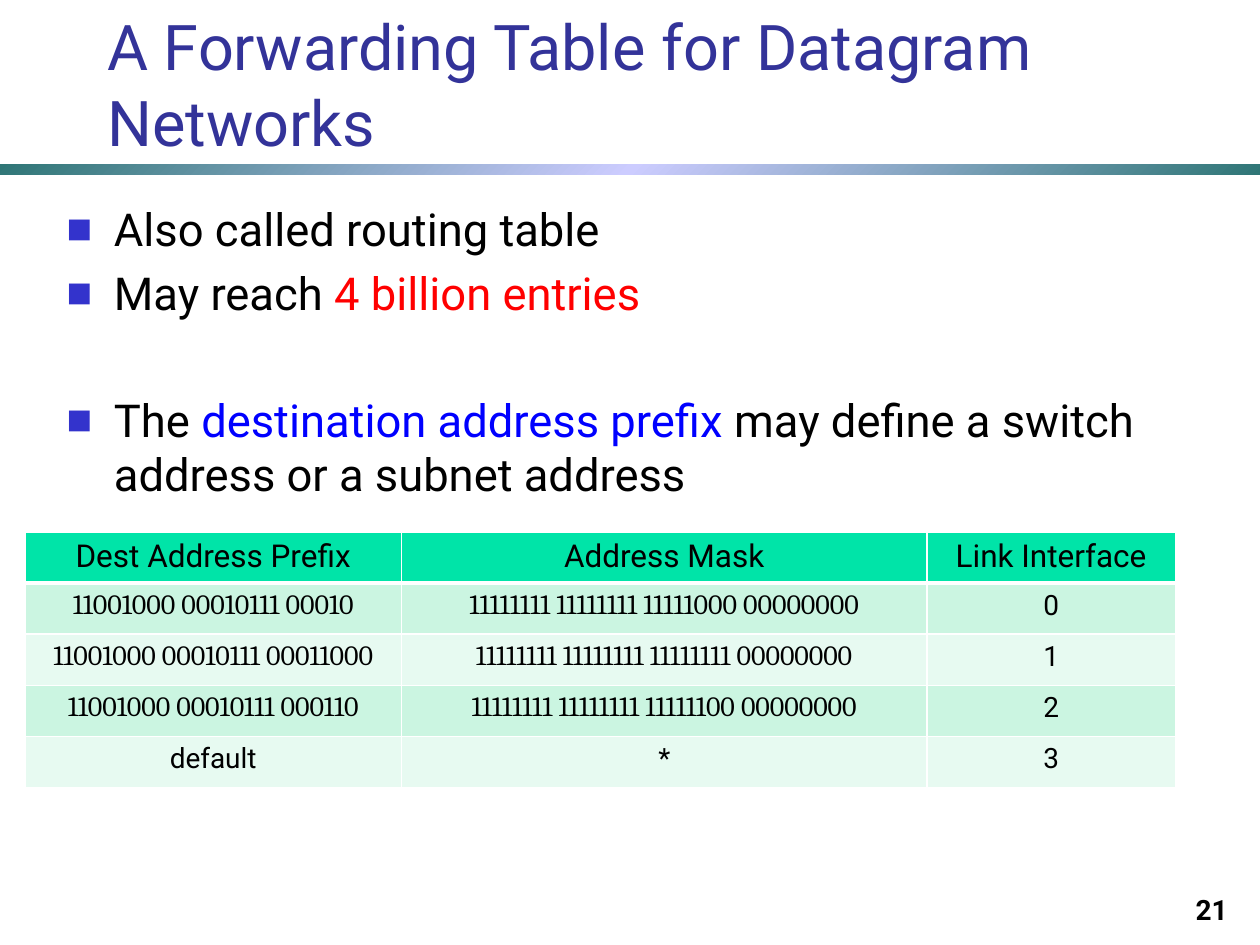
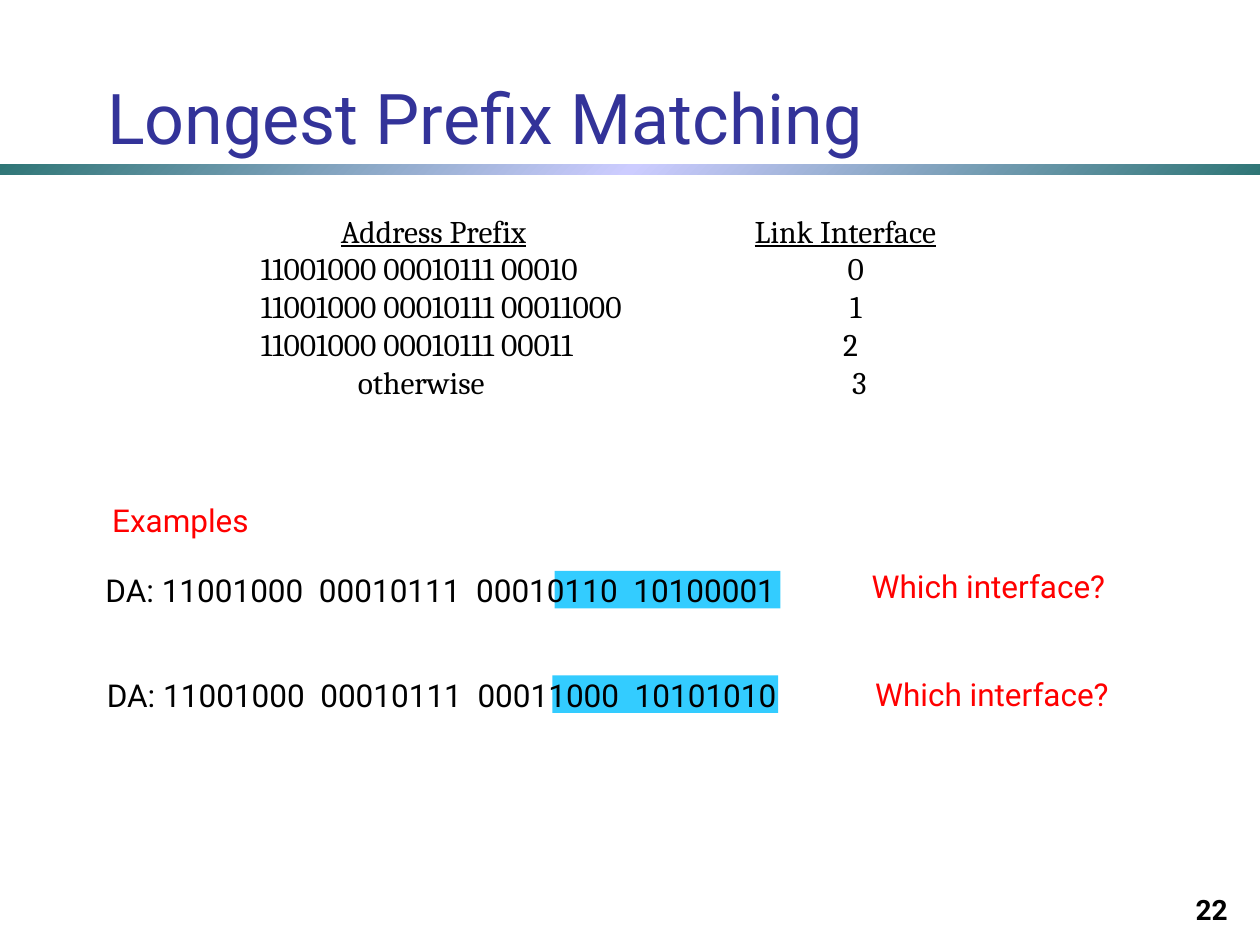
import copy
import lxml.etree
import pptx
import pptx.dml.color
import pptx.enum.shapes
import pptx.enum.text
import pptx.oxml
import pptx.oxml.ns
import pptx.util

Pt = pptx.util.Pt
RGB = pptx.dml.color.RGBColor
Align = pptx.enum.text.PP_ALIGN
Anchor = pptx.enum.text.MSO_ANCHOR
Rect = pptx.enum.shapes.MSO_SHAPE.RECTANGLE
qn = pptx.oxml.ns.qn

BLACK = RGB(0, 0, 0)
RED = RGB(255, 0, 0)
BLUE = RGB(0, 0, 255)
NAVY = RGB(0x33, 0x33, 0x99)
TEAL = RGB(0x2F, 0x76, 0x76)
LILAC = RGB(0xCC, 0xCC, 0xFF)
CYAN = RGB(0x33, 0xCC, 0xFF)
GREEN = RGB(0x00, 0xE4, 0xA8)
MINT = RGB(0xCB, 0xF5, 0xE1)
PALE = RGB(0xE7, 0xFA, 0xF1)
SANS, SERIF = "Roboto", "Cambria"


def write(para, text, size=18, color=BLACK, face=SANS):
    run = para.add_run()
    run.text = text
    run.font.size = Pt(size)
    run.font.name = face
    run.font.color.rgb = color
    return run


def box(slide, left, top, width, height, anchor=Anchor.TOP, wrap=True):
    frame = slide.shapes.add_textbox(Pt(left), Pt(top), Pt(width), Pt(height)).text_frame
    frame.word_wrap = wrap
    frame.vertical_anchor = anchor
    return frame


deck = pptx.Presentation()
deck.slide_width, deck.slide_height = Pt(720), Pt(540)

slides = []
heads = [("A Forwarding Table for Datagram Networks", 36, 21),
         ("Longest Prefix Matching", 40, 22)]
for head, size, num in heads:
    slide = deck.slides.add_slide(deck.slide_layouts[5])
    slides.append(slide)

    band = slide.shapes.add_shape(Rect, 0, Pt(94), Pt(720), Pt(6))
    band.shadow.inherit = False
    band.line.fill.background()
    band.fill.gradient()
    band.fill.gradient_angle = 315
    stops = band.element.xpath(".//a:gsLst")[0]
    stops.append(copy.deepcopy(stops[0]))
    for stop, place, color in zip(band.fill.gradient_stops, (0, 0.5, 1), (TEAL, LILAC, TEAL)):
        stop.position = place
        stop.color.rgb = color

    title = slide.shapes.title
    title.left, title.top, title.width, title.height = Pt(54), Pt(26), Pt(666), Pt(68.4)
    frame = title.text_frame
    frame.auto_size = pptx.enum.text.MSO_AUTO_SIZE.NONE
    frame.vertical_anchor = Anchor.BOTTOM
    frame.paragraphs[0].alignment = Align.LEFT
    write(frame.paragraphs[0], head, size, NAVY)

    para = box(slide, 558.7, 496.8, 149.8, 36, Anchor.BOTTOM).paragraphs[0]
    para.alignment = Align.RIGHT
    write(para, str(num), 16).font.bold = True

table_slide, match_slide = slides

points = [
    (0, [("Also called routing table", BLACK)]),
    (5.2, [("May reach ", BLACK), ("4 billion entries", RED)]),
    (41.5, [("The ", BLACK), ("destination address prefix ", BLUE),
            ("may define a switch address or a subnet address", BLACK)]),
]
frame = box(table_slide, 31, 111.6, 674.6, 153.4)
for i, (gap, parts) in enumerate(points):
    para = frame.add_paragraph() if i else frame.paragraphs[0]
    props = para._p.get_or_add_pPr()
    props.set("marL", str(Pt(27)))
    props.set("indent", str(Pt(-27)))
    color = lxml.etree.SubElement(props, qn("a:buClr"))
    lxml.etree.SubElement(color, qn("a:srgbClr"), val="3333CC")
    lxml.etree.SubElement(props, qn("a:buSzPct"), val="60000")
    lxml.etree.SubElement(props, qn("a:buFont"), typeface=SANS)
    lxml.etree.SubElement(props, qn("a:buChar"), char="■")
    para.space_before = Pt(gap)
    for text, color in parts:
        write(para, text, 25.9, color)

rows = [
    ("Dest Address Prefix", "Address Mask", "Link Interface"),
    ("11001000 00010111 00010", "11111111 11111111 11111000 00000000", "0"),
    ("11001000 00010111 00011000", "11111111 11111111 11111111 00000000", "1"),
    ("11001000 00010111 000110", "11111111 11111111 11111100 00000000", "2"),
    ("default", "*", "3"),
]
widths = (215.3, 300.2, 142)
table = table_slide.shapes.add_table(
    len(rows), len(widths), Pt(14.2), Pt(304), Pt(sum(widths)), Pt(146)).table
for col, width in zip(table.columns, widths):
    col.width = Pt(width)
for i, row in enumerate(rows):
    table.rows[i].height = Pt(29.2)
    for j, text in enumerate(row):
        cell = table.cell(i, j)
        cell.fill.solid()
        cell.fill.fore_color.rgb = GREEN if i == 0 else MINT if i % 2 else PALE
        para = cell.text_frame.paragraphs[0]
        para.alignment = Align.CENTER
        face = SERIF if text.startswith("1") and len(text) > 1 else SANS
        write(para, text, 16 if i else 18, BLACK, face)
        props = cell._tc.get_or_add_tcPr()
        for k, side in enumerate(("lnL", "lnR", "lnT", "lnB")):
            thick = (i, side) in ((0, "lnB"), (1, "lnT"))
            line = lxml.etree.Element(qn("a:" + side), w=str(Pt(3 if thick else 1)))
            fill = lxml.etree.SubElement(line, qn("a:solidFill"))
            lxml.etree.SubElement(fill, qn("a:srgbClr"), val="FFFFFF")
            props.insert(k, line)

routes = [
    ("Address Prefix", 84.7, "Link Interface", 373),
    ("11001000 00010111 00010", 39, "0", 379),
    ("11001000 00010111 00011000", 39, "1", 379),
    ("11001000 00010111 00011", 39, "2", 376),
    ("otherwise", 94.4, "3", 381),
]
frame = box(match_slide, 103, 116.6, 484.6, 116.6, Anchor.MIDDLE)
for i, (prefix, start, link, mid) in enumerate(routes):
    para = frame.add_paragraph() if i else frame.paragraphs[0]
    tabs = lxml.etree.SubElement(para._p.get_or_add_pPr(), qn("a:tabLst"))
    for pos, kind in ((start, "l"), (mid, "ctr")):
        lxml.etree.SubElement(tabs, qn("a:tab"), pos=str(Pt(pos)), algn=kind)
    for text in (prefix, link):
        write(para, "\t", face=SERIF)
        write(para, text, face=SERIF).font.underline = i == 0

for left, top in ((317, 326.2), (315.6, 386)):
    mark = match_slide.shapes.add_shape(Rect, Pt(left), Pt(top), Pt(129), Pt(21.4))
    mark.shadow.inherit = False
    mark.fill.solid()
    mark.fill.fore_color.rgb = CYAN
    mark.line.fill.background()

notes = [
    ("Examples", 57, 283, 93, RED),
    ("DA: 11001000  00010111  00010110  10100001", 53.2, 322.6, 404, BLACK),
    ("Which interface?", 491, 320.6, 162, RED),
    ("DA: 11001000  00010111  00011000  10101010", 54, 383, 404, BLACK),
    ("Which interface?", 493, 382.4, 162, RED),
]
for text, left, top, width, color in notes:
    frame = box(match_slide, left, top, width, 28.8, wrap=False)
    write(frame.paragraphs[0], text, color=color)

deck.save("out.pptx")
